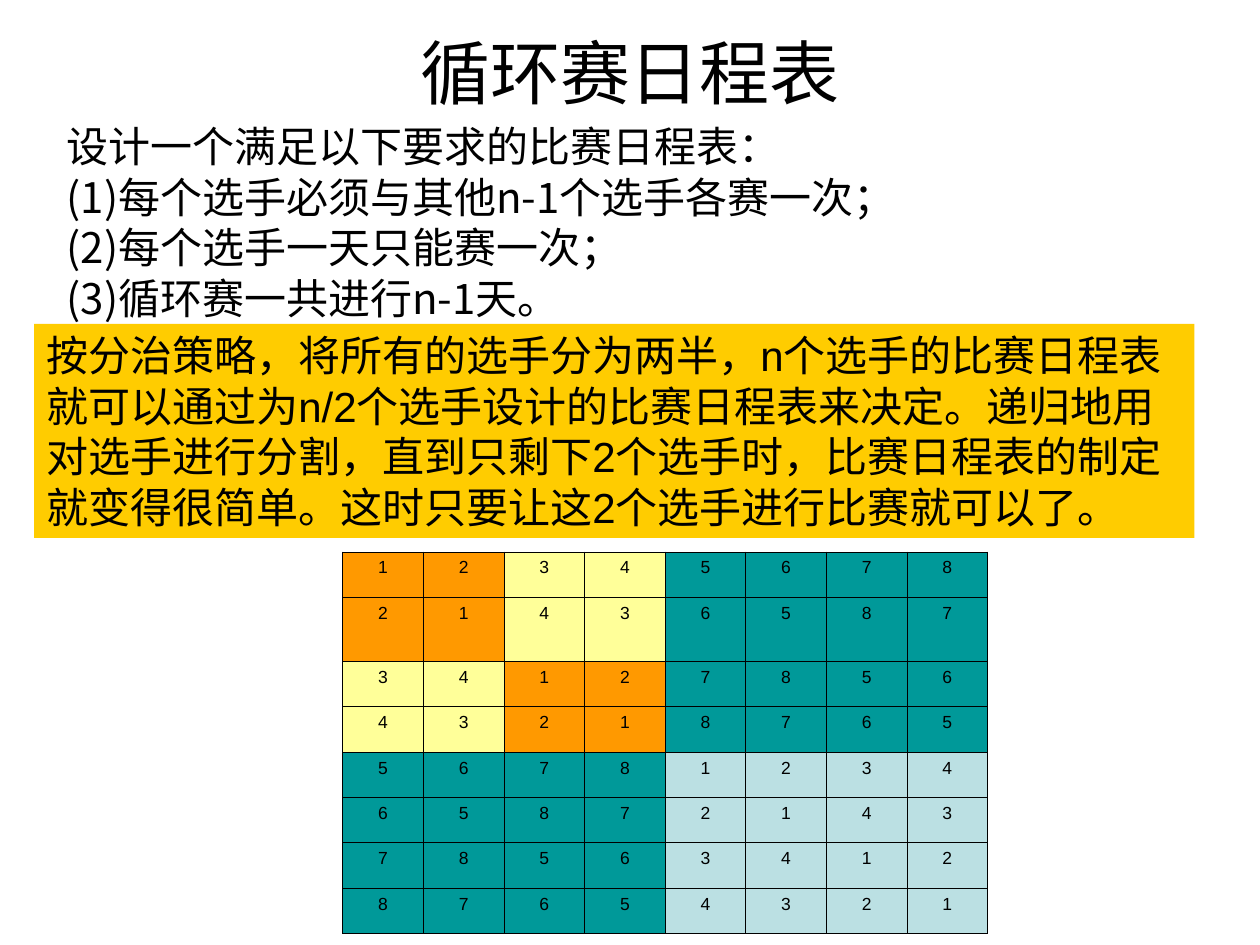
from dataclasses import dataclass
from typing import Optional

from lxml.etree import SubElement
from pptx import Presentation
from pptx.dml.color import RGBColor
from pptx.enum.lang import MSO_LANGUAGE_ID as Language
from pptx.enum.shapes import MSO_SHAPE as Shape
from pptx.enum.text import MSO_ANCHOR as Anchor, MSO_AUTO_SIZE as AutoSize, PP_ALIGN as Align
from pptx.oxml.ns import qn
from pptx.util import Inches, Pt


@dataclass(frozen=True)
class Theme:
    latin: str = "Arial"
    chinese: str = "Noto Sans CJK SC"
    ink: str = "000000"
    banner: str = "FFCC00"
    pair: str = "FF9900"
    swapped_pair: str = "FFFF99"
    other_half: str = "009999"
    repeated_half: str = "BBE0E3"
    title_size: float = 40
    body_size: float = 24
    cell_size: float = 10
    body_leading: float = 28.8
    border_width: float = 0.45


@dataclass(frozen=True)
class Area:
    left: float
    top: float
    width: float
    height: float

    def lengths(self) -> tuple:
        return tuple(Inches(n) for n in (self.left, self.top, self.width, self.height))


THEME = Theme()
PLAYERS = 8
COLUMN_WIDTH = 0.64
ROW_HEIGHT = 0.36
TALL_ROW, TALL_HEIGHT = 1, 0.51

TITLE = "循环赛日程表"
REQUIREMENTS = [
    "设计一个满足以下要求的比赛日程表：",
    "(1)每个选手必须与其他n-1个选手各赛一次；",
    "(2)每个选手一天只能赛一次；",
    "(3)循环赛一共进行n-1天。",
]
STRATEGY = (
    "按分治策略，将所有的选手分为两半，n个选手的比赛日程表就可以通过为n/2个选手"
    "设计的比赛日程表来决定。递归地用对选手进行分割，直到只剩下2个选手时，"
    "比赛日程表的制定就变得很简单。这时只要让这2个选手进行比赛就可以了。"
)


def write(para, text: str, *, size: float, font: str = THEME.latin,
          align: Align = Align.LEFT, leading: Optional[float] = None) -> None:
    """Add one formatted span of text to a paragraph."""
    para.alignment = align
    if leading:
        para.line_spacing = Pt(leading)
    span = para.add_run()
    span.text = text
    span.font.size = Pt(size)
    span.font.name = font
    span.font.language_id = Language.SIMPLIFIED_CHINESE
    span.font.color.rgb = RGBColor.from_string(THEME.ink)
    east_asian = SubElement(span.font._element, qn("a:ea"))
    east_asian.set("typeface", THEME.chinese)


def add_title(page, area: Area) -> None:
    frame = page.shapes.add_textbox(*area.lengths()).text_frame
    frame.word_wrap = True
    frame.vertical_anchor = Anchor.MIDDLE
    write(frame.paragraphs[0], TITLE, size=THEME.title_size,
          font=THEME.chinese, align=Align.CENTER)


def add_requirements(page, area: Area) -> None:
    frame = page.shapes.add_textbox(*area.lengths()).text_frame
    frame.word_wrap = True
    frame.auto_size = AutoSize.SHAPE_TO_FIT_TEXT
    for index, line in enumerate(REQUIREMENTS):
        para = frame.add_paragraph() if index else frame.paragraphs[0]
        write(para, line, size=THEME.body_size, leading=THEME.body_leading,
              font=THEME.chinese if index else THEME.latin)


def add_strategy(page, area: Area) -> None:
    box = page.shapes.add_shape(Shape.RECTANGLE, *area.lengths())
    box.shadow.inherit = False
    box.fill.solid()
    box.fill.fore_color.rgb = RGBColor.from_string(THEME.banner)
    box.line.fill.background()
    frame = box.text_frame
    frame.word_wrap = True
    frame.auto_size = AutoSize.SHAPE_TO_FIT_TEXT
    frame.vertical_anchor = Anchor.TOP
    write(frame.paragraphs[0], STRATEGY, size=THEME.body_size, leading=THEME.body_leading)


def block_color(row: int, column: int) -> str:
    """Colour a cell by the quadrant it belongs to in the recursion."""
    offset = row ^ column
    if offset >= PLAYERS // 2:
        return THEME.other_half
    if row >= PLAYERS // 2:
        return THEME.repeated_half
    return THEME.swapped_pair if offset >= PLAYERS // 4 else THEME.pair


def style_cell(cell, color: str) -> None:
    """Draw the four borders, then fill the cell."""
    properties = cell._tc.get_or_add_tcPr()
    for side in ("a:lnL", "a:lnR", "a:lnT", "a:lnB"):
        line = SubElement(properties, qn(side), w=str(Pt(THEME.border_width)))
        fill = SubElement(line, qn("a:solidFill"))
        SubElement(fill, qn("a:srgbClr"), val=THEME.ink)
    cell.fill.solid()
    cell.fill.fore_color.rgb = RGBColor.from_string(color)


def add_schedule(page, area: Area) -> None:
    table = page.shapes.add_table(PLAYERS, PLAYERS, *area.lengths()).table
    table.first_row = False
    table.horz_banding = False
    for column in table.columns:
        column.width = Inches(COLUMN_WIDTH)
    for row, table_row in enumerate(table.rows):
        table_row.height = Inches(TALL_HEIGHT if row == TALL_ROW else ROW_HEIGHT)
        for column, cell in enumerate(table_row.cells):
            style_cell(cell, block_color(row, column))
            # Swapping halves at every level is the exclusive or of the indices
            write(cell.text_frame.paragraphs[0], str((row ^ column) + 1),
                  size=THEME.cell_size, align=Align.CENTER)


def main() -> None:
    deck = Presentation()
    deck.slide_width, deck.slide_height = Inches(10), Inches(7.5)
    page = deck.slides.add_slide(deck.slide_layouts[6])

    # Heading and explanation
    add_title(page, Area(0.75, 0.21, 8.5, 0.71))
    add_requirements(page, Area(0.43, 0.91, 9.16, 1.7))
    add_strategy(page, Area(0.27, 2.57, 9.21, 1.7))

    # Schedule of all rounds
    add_schedule(page, Area(2.72, 4.38, PLAYERS * COLUMN_WIDTH,
                            (PLAYERS - 1) * ROW_HEIGHT + TALL_HEIGHT))
    deck.save("out.pptx")


if __name__ == "__main__":
    main()
